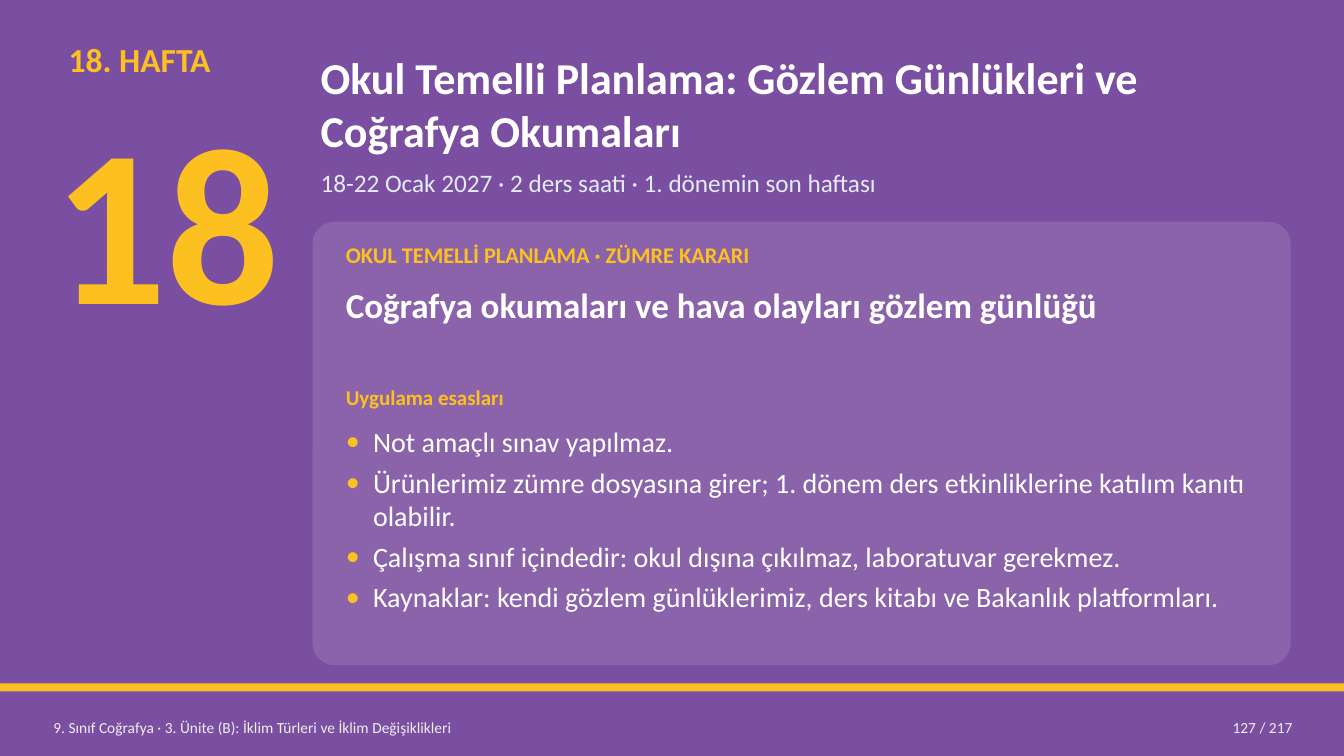
from lxml import etree
from pptx import Presentation, util as u
from pptx.dml.color import RGBColor
from pptx.enum import shapes, text
from pptx.oxml.ns import qn

COLORS = {
    "purple": "7A4EA0",
    "yellow": "FCC021",
    "white": "FFFFFF",
    "mist": "E3ECF5",
    "footer": "F0F0F0",
}
FONT = "Calibri"
WIDTH, HEIGHT = 13.33, 7.5
RULES = [
    "Not amaçlı sınav yapılmaz.",
    "Ürünlerimiz zümre dosyasına girer; 1. dönem ders etkinliklerine katılım kanıtı olabilir.",
    "Çalışma sınıf içindedir: okul dışına çıkılmaz, laboratuvar gerekmez.",
    "Kaynaklar: kendi gözlem günlüklerimiz, ders kitabı ve Bakanlık platformları.",
]


def add_block(slide, box, color, kind=shapes.MSO_SHAPE.RECTANGLE, alpha=None):
    """Draw a borderless filled shape, with alpha as a percentage."""
    shape = slide.shapes.add_shape(kind, *map(u.Inches, box))
    shape.shadow.inherit = False
    shape.line.fill.background()
    shape.fill.solid()
    shape.fill.fore_color.rgb = RGBColor.from_string(COLORS[color])
    if alpha is not None:
        tint = shape.fill._xPr.find(".//" + qn("a:srgbClr"))
        etree.SubElement(tint, qn("a:alpha"), val=str(alpha * 1000))
    return shape


def add_bullet(paragraph, color, indent):
    """Give a paragraph a coloured bullet with a hanging indent."""
    properties = paragraph._p.get_or_add_pPr()
    properties.set("marL", str(u.Inches(indent)))
    properties.set("indent", str(-u.Inches(indent)))
    tint = etree.SubElement(properties, qn("a:buClr"))
    etree.SubElement(tint, qn("a:srgbClr"), val=COLORS[color])
    etree.SubElement(properties, qn("a:buFont"), typeface=FONT)
    etree.SubElement(properties, qn("a:buChar"), char="•")


def add_text(slide, box, *lines, size, color, bold=False, align=text.PP_ALIGN.LEFT,
             anchor=text.MSO_ANCHOR.TOP, inset=0.04, bullet=None, gap=0):
    """Write one paragraph for each line in a wrapping text box."""
    frame = slide.shapes.add_textbox(*map(u.Inches, box)).text_frame
    frame.word_wrap = True
    frame.vertical_anchor = anchor
    frame.margin_left = frame.margin_right = u.Inches(0.08)
    frame.margin_top = frame.margin_bottom = u.Inches(inset)
    for index, line in enumerate(lines):
        paragraph = frame.add_paragraph() if index else frame.paragraphs[0]
        if bullet:
            add_bullet(paragraph, bullet, 0.27)
        paragraph.alignment = align
        if gap and index < len(lines) - 1:
            paragraph.space_after = u.Pt(gap)
        run = paragraph.add_run()
        run.text = line
        run.font.name = FONT
        run.font.size = u.Pt(size)
        run.font.bold = bold
        run.font.color.rgb = RGBColor.from_string(COLORS[color])


def add_background(slide, box):
    """Fill the slide and lay the yellow band above the footer."""
    left, top, width, height = box
    add_block(slide, box, "purple")
    add_block(slide, (left, top + height - 0.72, width, 0.08), "yellow")


def add_week(slide, box):
    """Write the week label and its large number."""
    left, top, width, height = box
    add_text(slide, (left + 0.15, top, width, 0.55), "18. HAFTA",
             size=24, color="yellow", bold=True)
    add_text(slide, (left, top + 0.45, width, height - 0.45), "18",
             size=160, color="yellow", bold=True, inset=0)


def add_heading(slide, box):
    """Write the title and the date line below it."""
    left, top, width, height = box
    add_text(slide, (left, top, width, 1.15),
             "Okul Temelli Planlama: Gözlem Günlükleri ve Coğrafya Okumaları",
             size=31.5, color="white", bold=True, anchor=text.MSO_ANCHOR.MIDDLE)
    add_text(slide, (left, top + height - 0.45, width, 0.45),
             "18-22 Ocak 2027 · 2 ders saati · 1. dönemin son haftası",
             size=18, color="mist")


def add_panel(slide, box):
    """Draw the translucent card with its headings and rules."""
    left, top, width, height = box
    card = add_block(slide, box, "white", shapes.MSO_SHAPE.ROUNDED_RECTANGLE, alpha=12)
    card.adjustments[0] = 0.05
    rows = [
        (0.40, ["OKUL TEMELLİ PLANLAMA · ZÜMRE KARARI"],
         dict(size=16, color="yellow", bold=True)),
        (0.95, ["Coğrafya okumaları ve hava olayları gözlem günlüğü"],
         dict(size=25, color="white", bold=True)),
        (0.38, ["Uygulama esasları"], dict(size=15, color="yellow", bold=True)),
        (2.31, RULES, dict(size=20, color="white", bullet="yellow", gap=5)),
    ]
    row_top = top + 0.15
    for row_height, lines, style in rows:
        add_text(slide, (left + 0.25, row_top, width - 0.5, row_height), *lines, **style)
        row_top += row_height + 0.02 + 0.03 * (row_height == 0.95)


def add_footer(slide, box):
    """Write the unit name at the left and the page count at the right."""
    left, top, width, height = box
    style = dict(size=11, color="footer", anchor=text.MSO_ANCHOR.MIDDLE)
    add_text(slide, (left, top, 7.6, height),
             "9. Sınıf Coğrafya · 3. Ünite (B): İklim Türleri ve İklim Değişiklikleri", **style)
    add_text(slide, (left + width - 1.6, top, 1.6, height), "127 / 217",
             align=text.PP_ALIGN.RIGHT, **style)


def main():
    """Build the week slide and save it."""
    presentation = Presentation()
    presentation.slide_width = u.Inches(WIDTH)
    presentation.slide_height = u.Inches(HEIGHT)
    slide = presentation.slides.add_slide(presentation.slide_layouts[6])
    add_background(slide, (0, 0, WIDTH, HEIGHT))
    add_week(slide, (0.45, 0.35, 2.6, 3.2))
    add_heading(slide, (3.1, 0.45, 9.7, 1.62))
    add_panel(slide, (3.1, 2.2, 9.7, 4.4))
    add_footer(slide, (0.45, 7.04, 12.45, 0.36))
    presentation.save("out.pptx")


if __name__ == "__main__":
    main()
